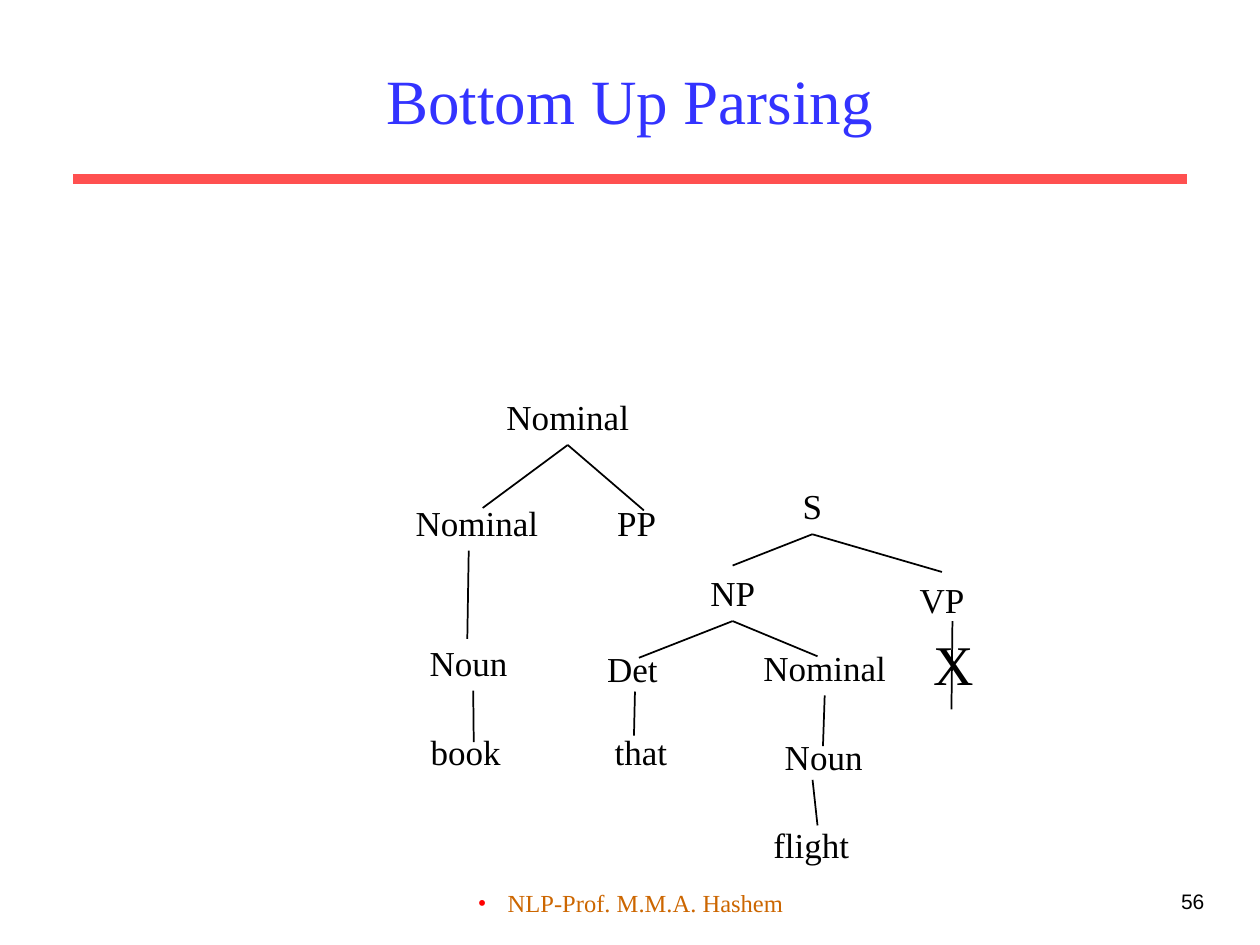
from lxml.etree import SubElement
from pptx import Presentation
from pptx.dml.color import RGBColor
from pptx.enum.shapes import MSO_CONNECTOR
from pptx.enum.text import MSO_ANCHOR, MSO_AUTO_SIZE, PP_ALIGN
from pptx.oxml.ns import qn
from pptx.util import Cm, Pt

SERIF = "Times New Roman"
BOTTOM, TOP = 2, 0
NODE_HEIGHT = 1.12
NODE_FRAME = {"word_wrap": True, "auto_size": MSO_AUTO_SIZE.NONE, "margin_right": Cm(0)}
FOOTER_FRAME = {"word_wrap": True}

# key: (label, left, top, width)
NODES = {
    "root": ("Nominal", 9.96, 7.85, 2.97),
    "left nominal": ("Nominal", 8.13, 9.98, 2.97),
    "pp": ("PP", 12.19, 9.98, 1.4),
    "left noun": ("Noun", 8.41, 12.8, 2.26),
    "book": ("book", 8.43, 14.6, 1.93),
    "that": ("that", 12.14, 14.6, 1.55),
    "s": ("S", 15.93, 9.65, 0.89),
    "np": ("NP", 14.07, 11.4, 1.4),
    "vp": ("VP", 18.29, 11.53, 1.4),
    "det": ("Det", 11.99, 12.93, 1.52),
    "right nominal": ("Nominal", 15.14, 12.9, 2.97),
    "right noun": ("Noun", 15.57, 14.71, 2.08),
    "flight": ("flight", 15.34, 16.48, 2.03),
}

BRANCHES = [
    (("root", BOTTOM), (9.73, 10.24)),
    (("root", BOTTOM), (12.98, 10.29)),
    ((9.45, 11.1), (9.42, 12.88)),
    (("left noun", BOTTOM), (9.55, 14.96)),
    (("s", BOTTOM), ("np", TOP)),
    (("s", BOTTOM), ("vp", TOP)),
    (("np", BOTTOM), (12.88, 13.26)),
    (("np", BOTTOM), (16.48, 13.23)),
    ((12.8, 13.94), (12.78, 14.83)),
    (("right nominal", BOTTOM), (16.59, 15.04)),
    ((16.38, 15.72), (16.48, 16.64)),
    ((19.2, 12.52), (19.18, 14.3)),
]


def rgb(value):
    """Turn a hex string into a colour."""
    return RGBColor.from_string(value)


def apply(target, values):
    """Set each attribute named in a dict."""
    for name, value in values.items():
        setattr(target, name, value)


def place(shape, left, top, width, height):
    """Move and size a shape in centimetres."""
    apply(shape, {"left": Cm(left), "top": Cm(top), "width": Cm(width), "height": Cm(height)})


def write(shape, text, size, color="000000", font=SERIF, align=PP_ALIGN.LEFT):
    """Fill a shape with one formatted paragraph and return it."""
    paragraph = shape.text_frame.paragraphs[0]
    paragraph.alignment = align
    run = paragraph.add_run()
    run.text = text
    apply(run.font, {"size": Pt(size), "name": font})
    run.font.color.rgb = rgb(color)
    return paragraph


def add_text(slide, box, frame):
    """Add an empty text box with the given frame settings."""
    shape = slide.shapes.add_textbox(*map(Cm, box))
    apply(shape.text_frame, frame)
    return shape


def add_bullet(paragraph, color):
    """Give a paragraph a coloured, hanging bullet."""
    properties = paragraph._p.get_or_add_pPr()
    properties.set("marL", str(Cm(0.6)))
    properties.set("indent", str(-Cm(0.6)))
    bullet_color = SubElement(properties, qn("a:buClr"))
    SubElement(bullet_color, qn("a:srgbClr"), val=color)
    SubElement(properties, qn("a:buFont"), typeface=SERIF)
    SubElement(properties, qn("a:buChar"), char="•")


def add_line(slide, start, end, color="000000", width=1, nodes=None):
    """Draw a line between points or node connection sites."""
    joined = [isinstance(tip[0], str) for tip in (start, end)]
    points = [(0, 0) if glued else tip for tip, glued in zip((start, end), joined)]
    line = slide.shapes.add_connector(
        MSO_CONNECTOR.STRAIGHT, *(Cm(value) for point in points for value in point))
    if joined[0]:
        line.begin_connect(nodes[start[0]], start[1])
    if joined[1]:
        line.end_connect(nodes[end[0]], end[1])
    line.line.color.rgb = rgb(color)
    line.line.width = Pt(width)
    SubElement(line._element.spPr, qn("a:effectLst"))


def add_title(slide):
    """Format the title and draw the rule under it."""
    title = slide.shapes.title
    place(title, 1.9, 0.64, 21.59, 2.74)
    title.text_frame.vertical_anchor = MSO_ANCHOR.MIDDLE
    write(title, "Bottom Up Parsing", 36, "3333FF", align=PP_ALIGN.CENTER)
    add_line(slide, (1.47, 3.61), (23.93, 3.61), "FF5050", 6)


def add_trees(slide):
    """Draw the partial parse trees and the failed branch."""
    nodes = {}
    for key, (label, left, top, width) in NODES.items():
        nodes[key] = add_text(slide, (left, top, width, NODE_HEIGHT), NODE_FRAME)
        write(nodes[key], label, 20)
    write(add_text(slide, (18.57, 12.57, 1.32, 1.63), NODE_FRAME), "X", 32)
    for start, end in BRANCHES:
        add_line(slide, start, end, nodes=nodes)


def add_footer(slide):
    """Add the author line and the slide number."""
    author = add_text(slide, (8.69, 17.78, 8.05, 1.27), FOOTER_FRAME)
    add_bullet(write(author, "NLP-Prof. M.M.A. Hashem", 14, "CC6600",
                     align=PP_ALIGN.CENTER), "FF0000")
    number = add_text(slide, (19.25, 17.78, 5.28, 1.27), FOOTER_FRAME)
    write(number, "56", 12, font="Arial", align=PP_ALIGN.RIGHT)


def main():
    """Build and save the slide."""
    deck = Presentation()
    apply(deck, {"slide_width": Cm(25.4), "slide_height": Cm(19.05)})
    slide = deck.slides.add_slide(deck.slide_layouts.get_by_name("Title Only"))
    add_title(slide)
    add_trees(slide)
    add_footer(slide)
    deck.save("out.pptx")


if __name__ == "__main__":
    main()
